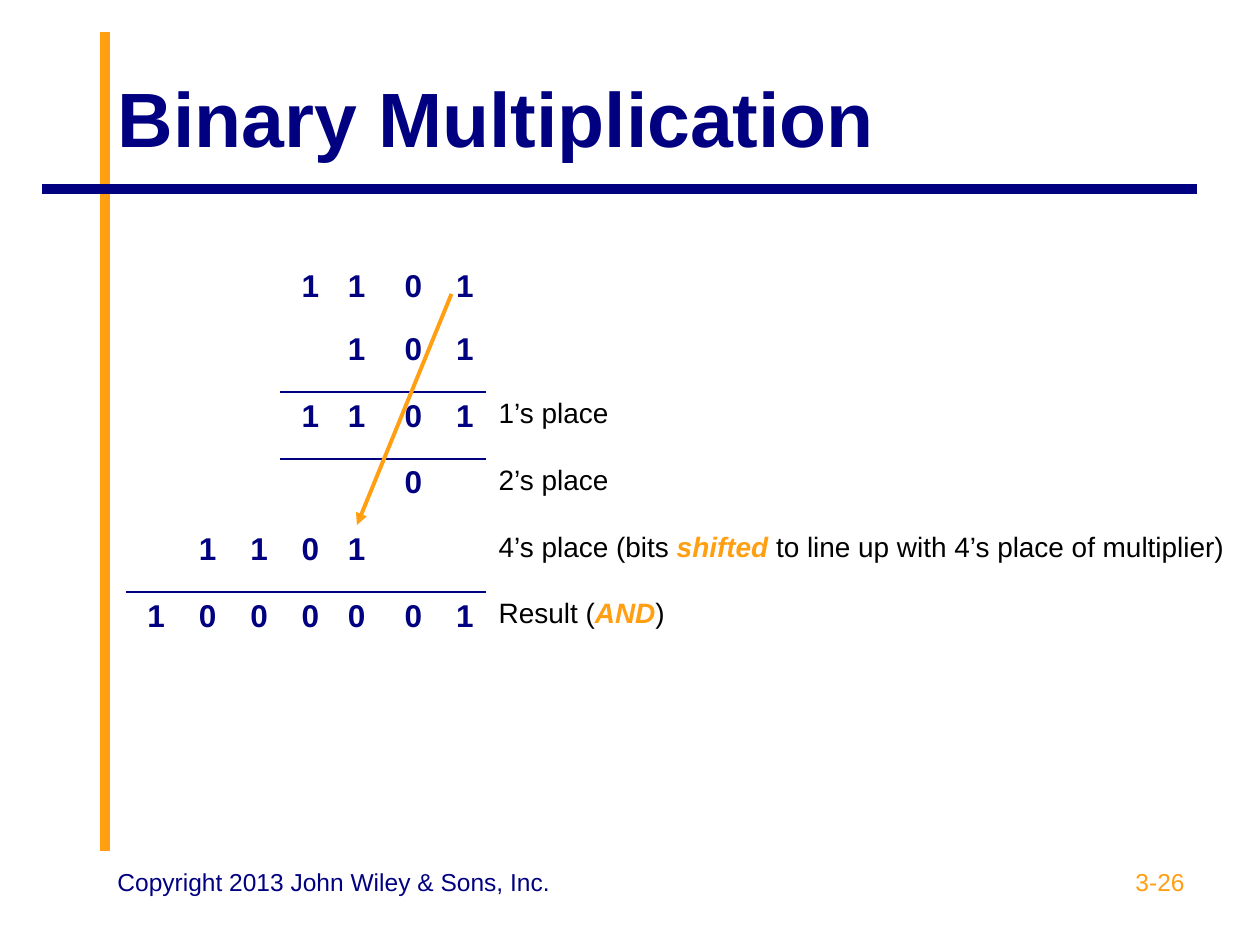
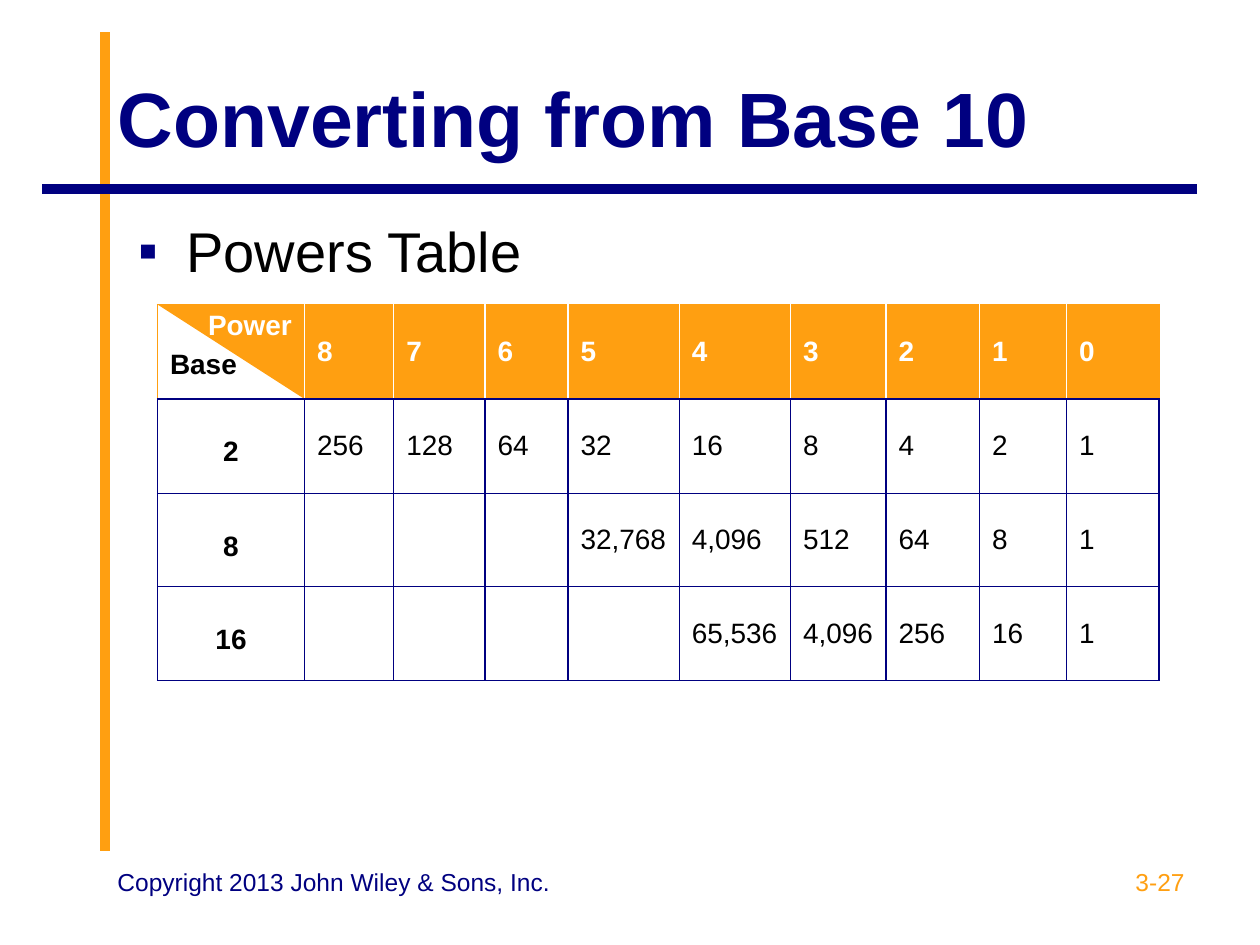
from typing import NamedTuple, Optional, Sequence

from lxml import etree
from pptx import Presentation, util as u
from pptx.dml.color import RGBColor
from pptx.enum import shapes, text
from pptx.oxml.ns import qn

NAVY, ORANGE, BLACK, WHITE = "000080", "FF9F11", "000000", "FFFFFF"
FONT = "Arial"
COPYRIGHT = "Copyright 2013 John Wiley & Sons, Inc."
NO_STYLE = "{2D5ABB26-0587-4C30-8999-92F81FD0307C}"
LEFT, CENTER, RIGHT = text.PP_ALIGN.LEFT, text.PP_ALIGN.CENTER, text.PP_ALIGN.RIGHT
MIDDLE = text.MSO_ANCHOR.MIDDLE


class Box(NamedTuple):
    left: float
    top: float
    width: float
    height: float


class Style(NamedTuple):
    size: float
    color: str = BLACK
    bold: bool = False
    italic: bool = False


class Line(NamedTuple):
    start: tuple
    end: tuple
    color: str
    width: float
    arrow: bool = False


class Footer(NamedTuple):
    box: Box
    color: str
    align: text.PP_ALIGN


class Note(NamedTuple):
    before: str
    stressed: str = ""
    after: str = ""


TITLE = Style(44, NAVY, True)
DIGIT = Style(18, NAVY, True)
NOTE = Style(16)
STRESS = Style(16, ORANGE, True, True)
ROW_LABEL = Style(16, BLACK, True)
HEADER = Style(16, WHITE, True)

TITLE_BOX = Box(10, 3.6, 104, 15)
BANDS = [Line((10, 81), (10, 3), ORANGE, 5.5), Line((114, 18), (4, 18), NAVY, 5.5)]
PAGE_FOOTER = Footer(Box(86, 82, 28, 6.25), ORANGE, RIGHT)
COPYRIGHT_FOOTER = Footer(Box(10, 82, 44, 6.25), NAVY, LEFT)

# Each row of the multiplication: seven binary places, then its note
MULTIPLICATION = [
    ("   1101", Note("")),
    ("    101", Note("")),
    ("   1101", Note("1’s place")),
    ("     0 ", Note("2’s place")),
    (" 1101  ", Note("4’s place (bits ", "shifted ", "to line up with 4’s place of multiplier)")),
    ("1000001", Note("Result (", "AND", ")")),
]
PLACE_COLS = [4.9, 4.9, 4.9, 4.9, 4.4, 5.4, 4.9]
RULES = {1: range(3, 7), 4: range(7)}  # row above the rule: columns it spans

POWERS = range(8, -1, -1)
HIGHEST_POWER = {2: 8, 8: 5, 16: 4}
POWER_COLS = [14, 8.5, 8.7, 7.9, 10.6, 10.6, 9.1, 8.9, 8.3, 8.8]


def grid(n: float) -> u.Emu:
    """Length of n grid units; the slide is 120 columns by 90 rows."""
    return u.Emu(round(n * u.Inches(1) / 12))


def emus(box: Box) -> list:
    return [grid(n) for n in box]


def rgb(color: str) -> RGBColor:
    return RGBColor.from_string(color)


def format_run(r, style: Style) -> None:
    r.font.name, r.font.size = FONT, u.Pt(style.size)
    r.font.bold, r.font.italic = style.bold, style.italic
    r.font.color.rgb = rgb(style.color)


def write(p, words: str, style: Style, align=LEFT) -> None:
    p.text, p.alignment = words, align
    for r in p.runs:
        format_run(r, style)


def place(sp, box: Box) -> None:
    sp.left, sp.top, sp.width, sp.height = emus(box)


def add_line(s, line: Line) -> None:
    cxn = s.shapes.add_connector(
        shapes.MSO_CONNECTOR.STRAIGHT, *map(grid, line.start + line.end))
    cxn.line.color.rgb = rgb(line.color)
    cxn.line.width = u.Pt(line.width)
    if line.arrow:
        etree.SubElement(cxn.line._get_or_add_ln(), qn("a:tailEnd"), type="triangle")
    etree.SubElement(cxn._element.spPr, qn("a:effectLst"))


def add_footer(s, words: str, footer: Footer) -> None:
    tf = s.shapes.add_textbox(*emus(footer.box)).text_frame
    tf.word_wrap = True
    write(tf.paragraphs[0], words, Style(14, footer.color), footer.align)


def add_slide(prs, layout: int, title: str, page: str):
    """Slide with the shared bands, title and footers."""
    s = prs.slides.add_slide(prs.slide_layouts[layout])
    for band in BANDS:
        add_line(s, band)
    sp = s.shapes.title
    place(sp, TITLE_BOX)
    tf = sp.text_frame
    tf.vertical_anchor, tf.auto_size = MIDDLE, text.MSO_AUTO_SIZE.NONE
    write(tf.paragraphs[0], title, TITLE)
    add_footer(s, page, PAGE_FOOTER)
    add_footer(s, COPYRIGHT, COPYRIGHT_FOOTER)
    return s


def add_grid(s, left: float, top: float, cols: Sequence, rows: Sequence):
    """Table without style, fill or borders."""
    box = Box(left, top, sum(cols), sum(rows))
    table = s.shapes.add_table(len(rows), len(cols), *emus(box)).table
    table.first_row = table.horz_banding = False
    table._tbl.tblPr.find(qn("a:tableStyleId")).text = NO_STYLE
    for col, width in zip(table.columns, cols):
        col.width = grid(width)
    for row, height in zip(table.rows, rows):
        row.height = grid(height)
    for cell in table.iter_cells():
        cell.fill.background()
    return table


def set_borders(cell, width: float, **colors: Optional[str]) -> None:
    """Colour the given sides (L, R, T, B) of a cell."""
    tc_pr = cell._tc.get_or_add_tcPr()
    for i, side in enumerate(side for side in "LRTB" if side in colors):
        ln = etree.Element(qn(f"a:ln{side}"), w=str(u.Pt(width)))
        fill = etree.SubElement(ln, qn("a:solidFill"))
        etree.SubElement(fill, qn("a:srgbClr"), val=colors[side])
        tc_pr.insert(i, ln)


def write_note(p, note: Note) -> None:
    for words, style in zip(note, (NOTE, STRESS, NOTE)):
        if words:
            r = p.add_run()
            r.text = words
            format_run(r, style)


def multiplication_slide(prs) -> None:
    s = add_slide(prs, 5, "Binary Multiplication", "3-26")
    table = add_grid(s, 12, 25, PLACE_COLS + [73.7], [6] + [6.35] * 5)
    for i, (digits, note) in enumerate(MULTIPLICATION):
        for j, digit in enumerate(digits):
            if digit != " ":
                write(table.cell(i, j).text_frame.paragraphs[0], digit, DIGIT, RIGHT)
        write_note(table.cell(i, len(digits)).text_frame.paragraphs[0], note)
    for i, span in RULES.items():
        for j in span:
            set_borders(table.cell(i, j), 1.08, B=NAVY)
            set_borders(table.cell(i + 1, j), 1.08, T=NAVY)
    add_line(s, Line((43, 28), (34, 50), ORANGE, 2.25, arrow=True))


def add_bullet_line(s, words: str) -> None:
    sp = s.placeholders[1]
    place(sp, Box(12, 20, 102, 10.4))
    tf = sp.text_frame
    tf.auto_size = text.MSO_AUTO_SIZE.NONE
    p = tf.paragraphs[0]
    p_pr = p._p.get_or_add_pPr()
    p_pr.set("marL", str(u.Inches(0.38)))
    p_pr.set("indent", str(-u.Inches(0.38)))
    color = etree.SubElement(p_pr, qn("a:buClr"))
    etree.SubElement(color, qn("a:srgbClr"), val=NAVY)
    etree.SubElement(p_pr, qn("a:buFont"), typeface=FONT)
    etree.SubElement(p_pr, qn("a:buChar"), char="▪")
    p.space_before = u.Pt(0)
    write(p, words, Style(32))


def fill_header(table) -> None:
    corner = table.cell(0, 0)
    tf = corner.text_frame
    write(tf.paragraphs[0], "Power", HEADER, RIGHT)
    p = tf.add_paragraph()
    p.space_before = u.Pt(4)
    write(p, "Base", ROW_LABEL)
    set_borders(corner, 0.75, L=ORANGE, R=WHITE, T=ORANGE, B=NAVY)
    for j, power in enumerate(POWERS, 1):
        cell = table.cell(0, j)
        cell.vertical_anchor = MIDDLE
        cell.fill.solid()
        cell.fill.fore_color.rgb = rgb(ORANGE)
        write(cell.text_frame.paragraphs[0], str(power), HEADER)
        set_borders(cell, 0.75, L=WHITE, R=WHITE if power else ORANGE, T=ORANGE, B=NAVY)


def fill_powers(table) -> None:
    for i, (base, highest) in enumerate(HIGHEST_POWER.items(), 1):
        p = table.cell(i, 0).text_frame.paragraphs[0]
        p.line_spacing = 2.0
        write(p, str(base), ROW_LABEL, CENTER)
        for j, power in enumerate(POWERS, 1):
            cell = table.cell(i, j)
            cell.vertical_anchor = MIDDLE
            if power <= highest:
                value = base ** power
                words = f"{value:,}"
                write(cell.text_frame.paragraphs[0], words, NOTE)
        for j in range(len(POWER_COLS)):
            set_borders(table.cell(i, j), 0.75, L=NAVY, R=NAVY, T=NAVY, B=NAVY)


def powers_slide(prs) -> None:
    s = add_slide(prs, 1, "Converting from Base 10", "3-27")
    add_bullet_line(s, "Powers Table")
    corner = s.shapes.add_shape(
        shapes.MSO_SHAPE.RIGHT_TRIANGLE, *emus(Box(15, 29, POWER_COLS[0], 9)))
    corner.rotation = 180
    corner.shadow.inherit = False
    corner.fill.solid()
    corner.fill.fore_color.rgb = rgb(ORANGE)
    corner.line.fill.background()
    table = add_grid(s, 15, 29, POWER_COLS, [9, 9, 8.9, 8.9])
    fill_header(table)
    fill_powers(table)


def main() -> None:
    prs = Presentation()
    prs.slide_width, prs.slide_height = grid(120), grid(90)
    multiplication_slide(prs)
    powers_slide(prs)
    prs.save("out.pptx")


if __name__ == "__main__":
    main()
